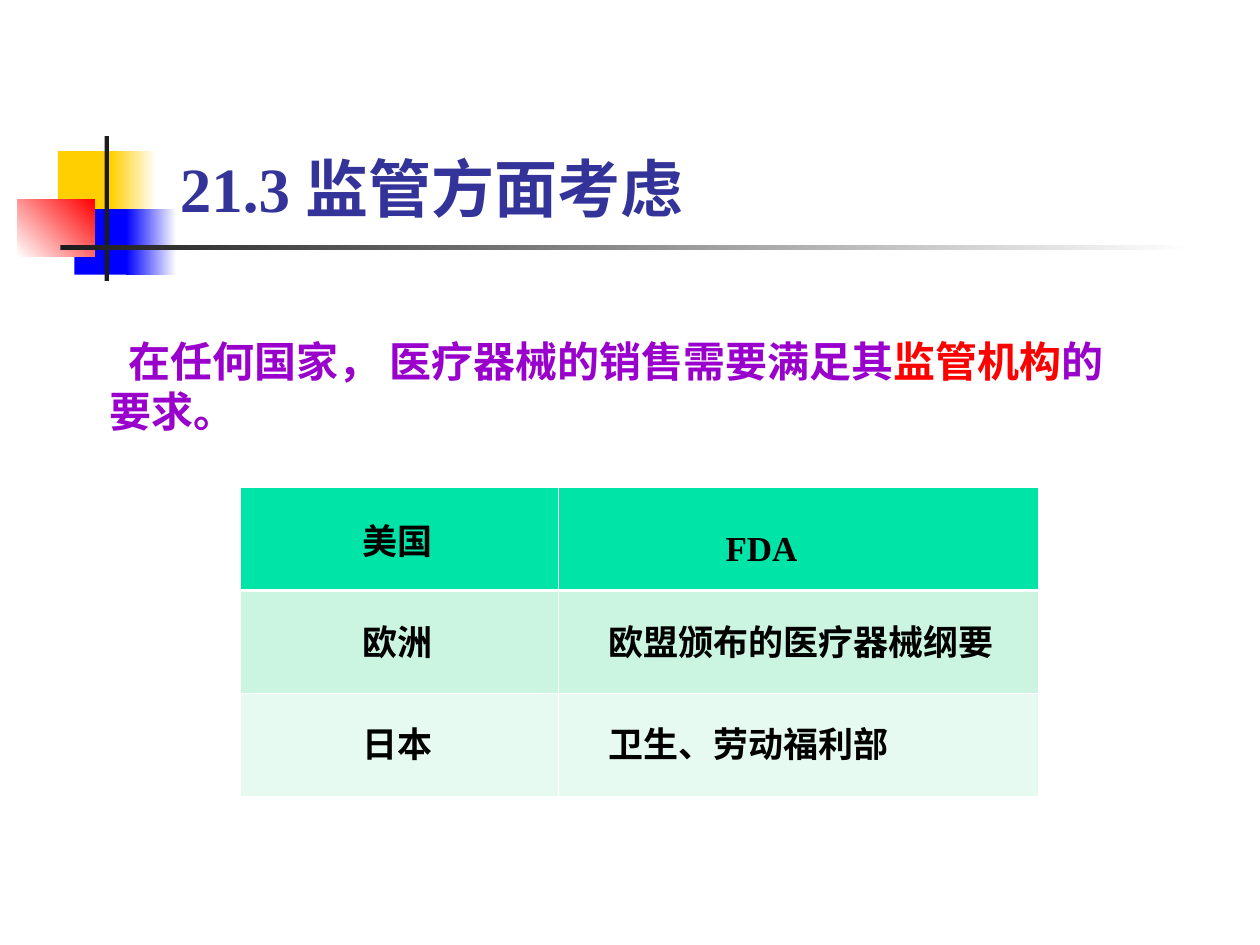
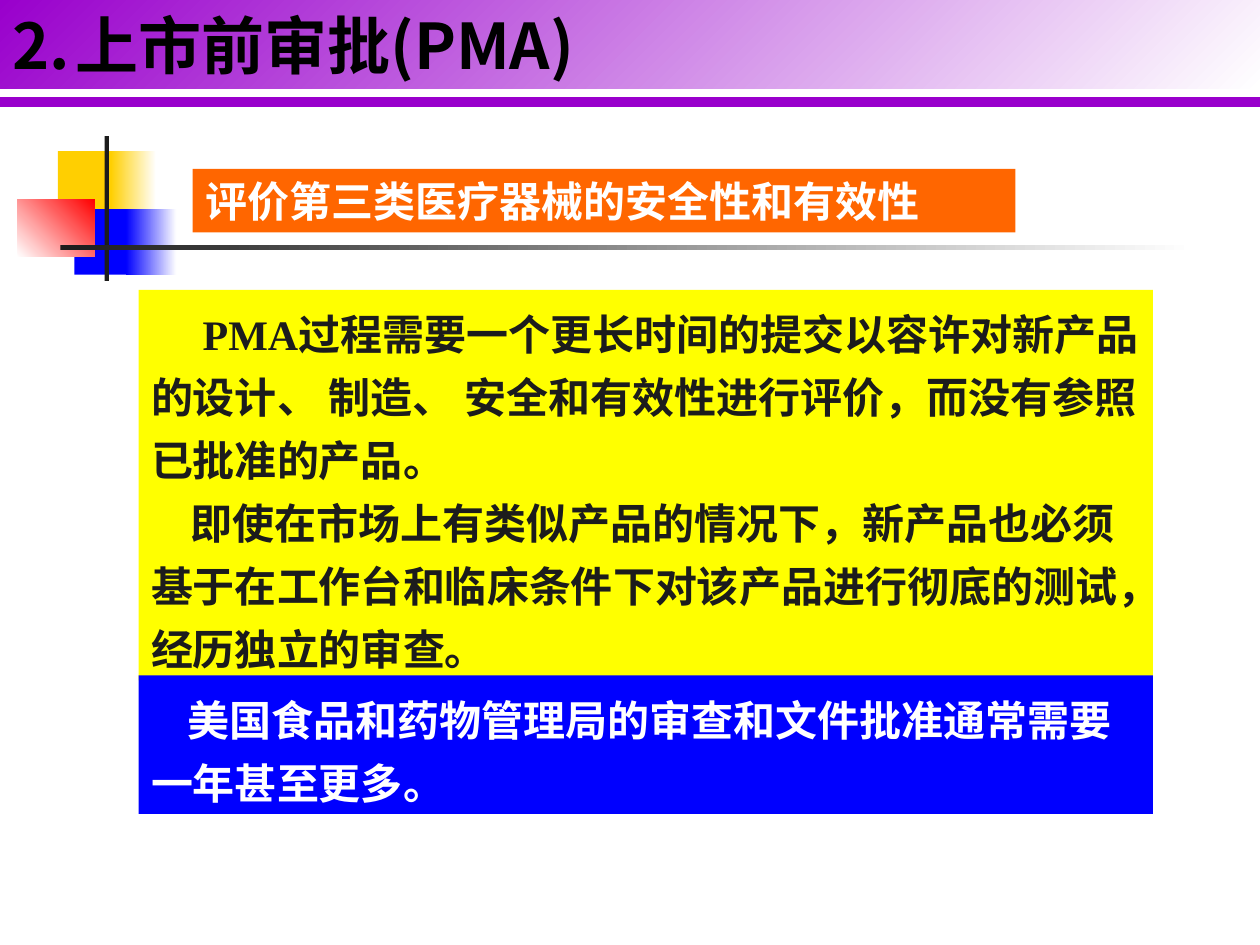
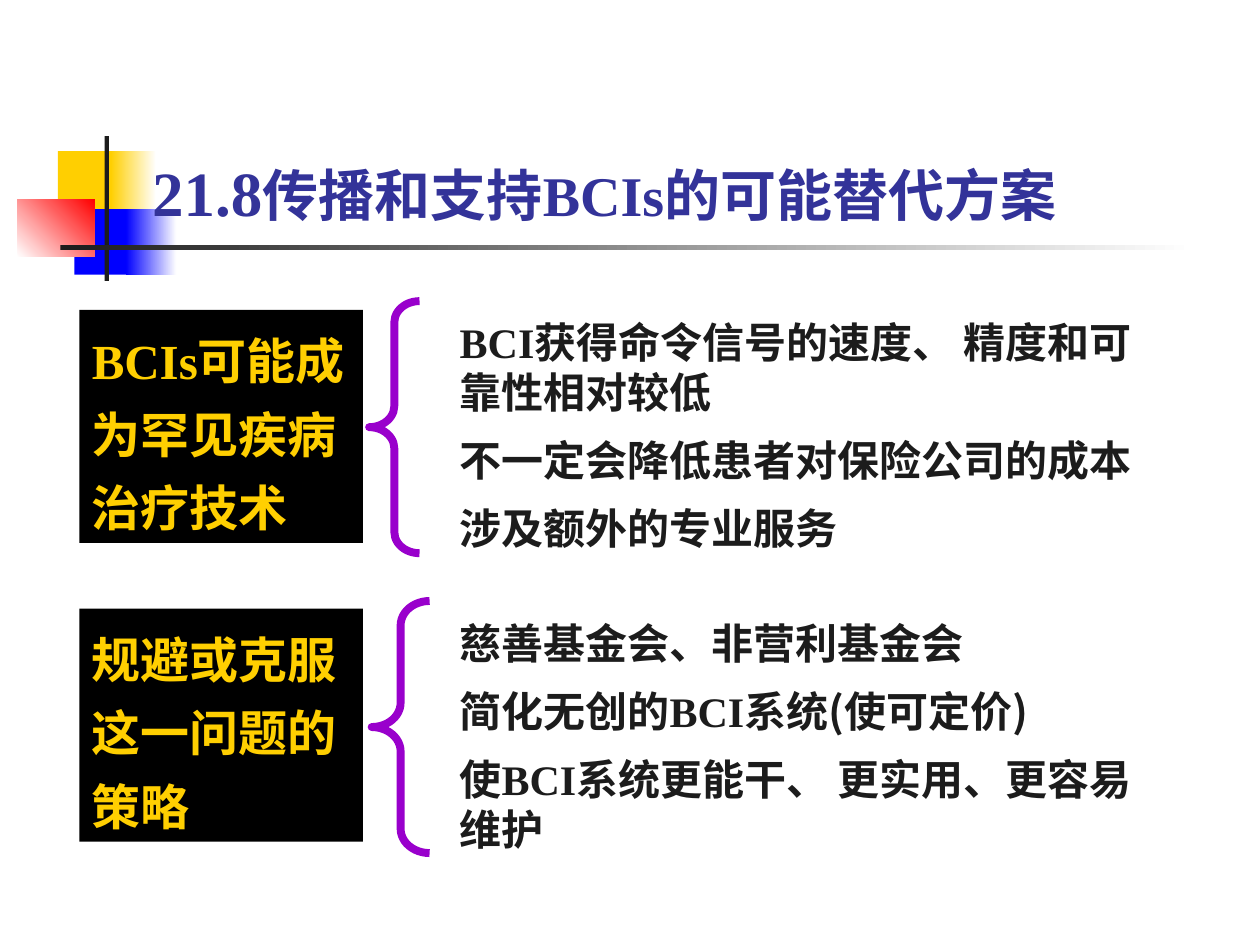
from dataclasses import dataclass
from typing import NamedTuple, Optional

from lxml.etree import SubElement
from pptx import Presentation
from pptx.dml.color import RGBColor as Color
from pptx.enum.shapes import MSO_CONNECTOR as Connector, MSO_SHAPE as Preset
from pptx.enum.text import MSO_ANCHOR as Anchor
from pptx.oxml.ns import qn
from pptx.util import Inches, Pt

WIDTH, HEIGHT = Inches(10), Inches(7.5)


@dataclass(frozen=True)
class Theme:
    serif: str = "Times New Roman"
    sans: str = "Noto Sans CJK SC"
    white: str = "FFFFFF"
    black: str = "000000"
    ink: str = "1C1C1C"
    gold: str = "FFCF01"
    blue: str = "0000FF"
    red: str = "FF0000"
    purple: str = "9900CC"
    navy: str = "333399"
    yellow: str = "FFFF00"
    orange: str = "FF6600"
    table_rows: tuple = ("00E4A8", "CBF5E1", "E7FAF1")
    title: int = 36
    long_title: int = 32
    topic: int = 28
    body: int = 24
    label: int = 20
    thin: float = 0.45
    header_rule: float = 1.47
    brace: float = 4.5
    band_rule: float = 6


THEME = Theme()


class Box(NamedTuple):
    """Place and size in percent of the slide's width and height."""
    left: float
    top: float
    width: float
    height: float

    def lengths(self) -> tuple:
        return (across(self.left), down(self.top), across(self.width), down(self.height))


class Gradient(NamedTuple):
    start: str
    end: str
    angle: int = 0  # counter-clockwise


class Style(NamedTuple):
    size: int
    color: str
    font: str = THEME.sans


class Run(NamedTuple):
    text: str
    color: Optional[str] = None
    font: Optional[str] = None
    size: Optional[int] = None


@dataclass(frozen=True)
class Para:
    runs: tuple
    first_line: float = 0  # inches
    margin: float = 0
    spacing: Optional[float] = None
    after: float = 0
    number: Optional[int] = None


class Topic(NamedTuple):
    panel: Box
    heading: str
    brace: Box
    points_box: Box
    points: tuple


def across(percent: float) -> int:
    return round(WIDTH * percent / 100)


def down(percent: float) -> int:
    return round(HEIGHT * percent / 100)


# ---- Drawing helpers ----
def set_font(font, properties, size=None, color=None, name=None) -> None:
    if size:
        font.size = Pt(size)
    if color:
        font.color.rgb = Color.from_string(color)
    if name:
        font.name = name
        SubElement(properties, qn("a:ea"), typeface=THEME.sans)


def write(shape, paras: tuple, style: Style, anchor=Anchor.TOP) -> None:
    frame = shape.text_frame
    frame.word_wrap = True
    frame.vertical_anchor = anchor
    for index, para in enumerate(paras):
        paragraph = frame.add_paragraph() if index else frame.paragraphs[0]
        properties = paragraph._p.get_or_add_pPr()
        properties.set("algn", "l")
        properties.set("marL", str(Inches(para.margin)))
        properties.set("indent", str(Inches(para.first_line)))
        if para.spacing:
            paragraph.line_spacing = para.spacing
        if para.after:
            paragraph.space_after = Pt(para.after)
        if para.number:
            tint = SubElement(properties, qn("a:buClr"))
            SubElement(tint, qn("a:srgbClr"), val=style.color)
            SubElement(properties, qn("a:buFont"), typeface=style.font)
            SubElement(properties, qn("a:buAutoNum"), type="arabicPeriod", startAt=str(para.number))
        paragraph.font.bold = True
        set_font(paragraph.font, properties.find(qn("a:defRPr")), *style)
        for part in para.runs:
            run = paragraph.add_run()
            run.text = part.text
            set_font(run.font, run._r.get_or_add_rPr(), part.size, part.color, part.font)


def add_text(slide, box: Box, paras: tuple, style: Style, anchor=Anchor.TOP) -> None:
    write(slide.shapes.add_textbox(*box.lengths()), paras, style, anchor)


def add_block(slide, box: Box, paint):
    shape = slide.shapes.add_shape(Preset.RECTANGLE, *box.lengths())
    shape.shadow.inherit = False
    shape.line.fill.background()
    if isinstance(paint, Gradient):
        shape.fill.gradient()
        shape.fill.gradient_angle = paint.angle
        for stop, color in zip(shape.fill.gradient_stops, paint[:2]):
            stop.color.rgb = Color.from_string(color)
    else:
        shape.fill.solid()
        shape.fill.fore_color.rgb = Color.from_string(paint)
    return shape


def add_brace(slide, box: Box) -> None:
    brace = slide.shapes.add_shape(Preset.LEFT_BRACE, *box.lengths())
    brace.shadow.inherit = False
    brace.fill.background()
    brace.line.color.rgb = Color.from_string(THEME.purple)
    brace.line.width = Pt(THEME.brace)
    brace.adjustments[0] = 0.42


def add_border(cell, side: str, width: float) -> None:
    properties = cell._tc.get_or_add_tcPr()
    border = SubElement(properties, qn(f"a:ln{side}"), w=str(Pt(width)))
    SubElement(SubElement(border, qn("a:solidFill")), qn("a:srgbClr"), val=THEME.white)


# ---- Shared slide mark: squares, cross bar and fading rule ----
MARK = (
    (Box(4.6, 16, 4.8, 6.93), THEME.gold),
    (Box(8.8, 16, 3.6, 6.93), Gradient(THEME.gold, THEME.white)),
    (Box(5.9, 22.13, 4.6, 6.93), THEME.blue),
    (Box(10, 22.13, 4, 6.93), Gradient(THEME.blue, THEME.white)),
    (Box(1.4, 21.07, 6.1, 6.13), Gradient(THEME.white, THEME.red, 45)),
    (Box(8.3, 14.4, 0.35, 15.33), THEME.ink),
    (Box(4.8, 25.95, 90, 0.47), Gradient(THEME.ink, THEME.white)),
)


def new_slide(presentation):
    slide = presentation.slides.add_slide(presentation.slide_layouts[6])
    for box, paint in MARK:
        add_block(slide, box, paint)
    return slide


TITLE = Style(THEME.title, THEME.navy, THEME.serif)


# ---- Slide 1: regulators ----
REGULATORS = (("美国", "FDA"), ("欧洲", "欧盟颁布的医疗器械纲要"), ("日本", "卫生、劳动福利部"))


def add_regulator_table(slide) -> None:
    frame = slide.shapes.add_table(3, 2, *Box(19.1, 51.6, 63.3, 32.67).lengths())
    table = frame.table
    table.first_row = table.horz_banding = False
    for column, share in zip(table.columns, (25.2, 38.1)):
        column.width = across(share)
    for index, (row, color) in enumerate(zip(table.rows, THEME.table_rows)):
        for cell in row.cells:
            for side in "LRTB":
                under_header = (index, side) in ((0, "B"), (1, "T"))
                add_border(cell, side, THEME.header_rule if under_header else THEME.thin)
            cell.fill.solid()
            cell.fill.fore_color.rgb = Color.from_string(color)

    first_top, step, height = 54.27, 10.75, 5.87
    for index, (region, regulator) in enumerate(REGULATORS):
        top = first_top + index * step
        place = Box(47.3, top, 33.6, height) if index else Box(56.6, 55.07, 8.9, height)
        for box, text, font in ((Box(27.8, top, 8.4, height), region, THEME.sans),
                                (place, regulator, THEME.serif)):
            add_text(slide, box, (Para((Run(text),)),), Style(THEME.label, THEME.black, font))


def build_regulation(presentation) -> None:
    slide = new_slide(presentation)
    add_regulator_table(slide)
    add_text(slide, Box(13.3, 13.73, 75.8, 12.27), (Para((Run("21.3 监管方面考虑"),)),),
             TITLE, Anchor.MIDDLE)
    statement = Para((Run("在任何国家， 医疗器械的销售需要满足其"),
                      Run("监管机构", THEME.red), Run("的要求。")), first_line=0.15)
    add_text(slide, Box(7.7, 34.8, 81.4, 12), (statement,), Style(THEME.body, THEME.purple))


# ---- Slide 2: premarket approval ----
def build_approval(presentation) -> None:
    slide = new_slide(presentation)
    band = add_block(slide, Box(0, 0, 100, 9.4), Gradient(THEME.purple, THEME.white, 315))
    write(band, (Para((Run("上市前审批(PMA)"),), first_line=-0.5, margin=0.5, number=2),),
          Style(THEME.title, THEME.black))
    rule = slide.shapes.add_connector(Connector.STRAIGHT, 0, down(10.8), WIDTH, down(10.8))
    rule.line.color.rgb = Color.from_string(THEME.purple)
    rule.line.width = Pt(THEME.band_rule)
    SubElement(rule._element.spPr, qn("a:effectLst"))

    panels = (
        (Box(11, 30.67, 80.5, 41.33), THEME.yellow, Style(THEME.body, THEME.ink, THEME.serif), (
            Para((Run("PMA过程需要一个更长时间的提交以容许对新产品的设计、 制造、 "
                      "安全和有效性进行评价，而没有参照已批准的产品。"),),
                 first_line=0.41, spacing=1.25),
            Para((Run("即使在市场上有类似产品的情况下，新产品也必须基于在工作台和临床条件下"
                      "对该产品进行彻底的测试，经历独立的审查。"),),
                 first_line=0.31, spacing=1.25))),
        (Box(15.3, 17.87, 65.3, 6.73), THEME.orange, Style(THEME.body, THEME.white),
         (Para((Run("评价第三类医疗器械的安全性和有效性"),)),)),
        (Box(11, 71.47, 80.5, 14.67), THEME.blue, Style(THEME.body, THEME.white, THEME.serif),
         (Para((Run("美国食品和药物管理局的审查和文件批准通常需要一年甚至更多。"),),
               first_line=0.29, spacing=1.25),)),
    )
    for box, paint, style, paras in panels:
        write(add_block(slide, box, paint), paras, style)


# ---- Slide 3: alternatives for BCIs ----
BCI = Run("BCI", font=THEME.serif)
TOPICS = (
    Topic(Box(6.3, 32.8, 22.5, 24.67), "BCIs可能成为罕见疾病治疗技术",
          Box(29.3, 31.87, 4, 26.67), Box(35.5, 32.8, 56.5, 26.4),
          ((BCI, Run("获得命令信号的速度、 精度和可靠性相对较低")),
           (Run("不一定会降低患者对保险公司的成本"),),
           (Run("涉及额外的专业服务"),))),
    Topic(Box(6.3, 64.4, 22.5, 24.67), "规避或克服这一问题的策略",
          Box(29.5, 63.6, 4.6, 26.67), Box(35.5, 64.67, 58.3, 26.4),
          ((Run("慈善基金会、非营利基金会"),),
           (Run("简化无创的"), BCI, Run("系统(使可定价)")),
           (Run("使BCI", font=THEME.serif), Run("系统更能干、 更实用、更容易维护")))),
)


def build_alternatives(presentation) -> None:
    slide = new_slide(presentation)
    title = Para((Run("21.8"), Run("传播和支持BCIs的可能替代方案", size=THEME.long_title)))
    add_text(slide, Box(11.1, 12.67, 79.8, 12.27), (title,), TITLE, Anchor.BOTTOM)
    for topic in TOPICS:
        write(add_block(slide, topic.panel, THEME.black),
              (Para((Run(topic.heading),), spacing=1.25),),
              Style(THEME.topic, THEME.gold, THEME.serif))
        add_brace(slide, topic.brace)
        add_text(slide, topic.points_box, tuple(Para(runs, after=10) for runs in topic.points),
                 Style(THEME.body, THEME.ink))


def main() -> None:
    presentation = Presentation()
    presentation.slide_width, presentation.slide_height = WIDTH, HEIGHT
    for build in (build_regulation, build_approval, build_alternatives):
        build(presentation)
    presentation.save("out.pptx")


if __name__ == "__main__":
    main()
